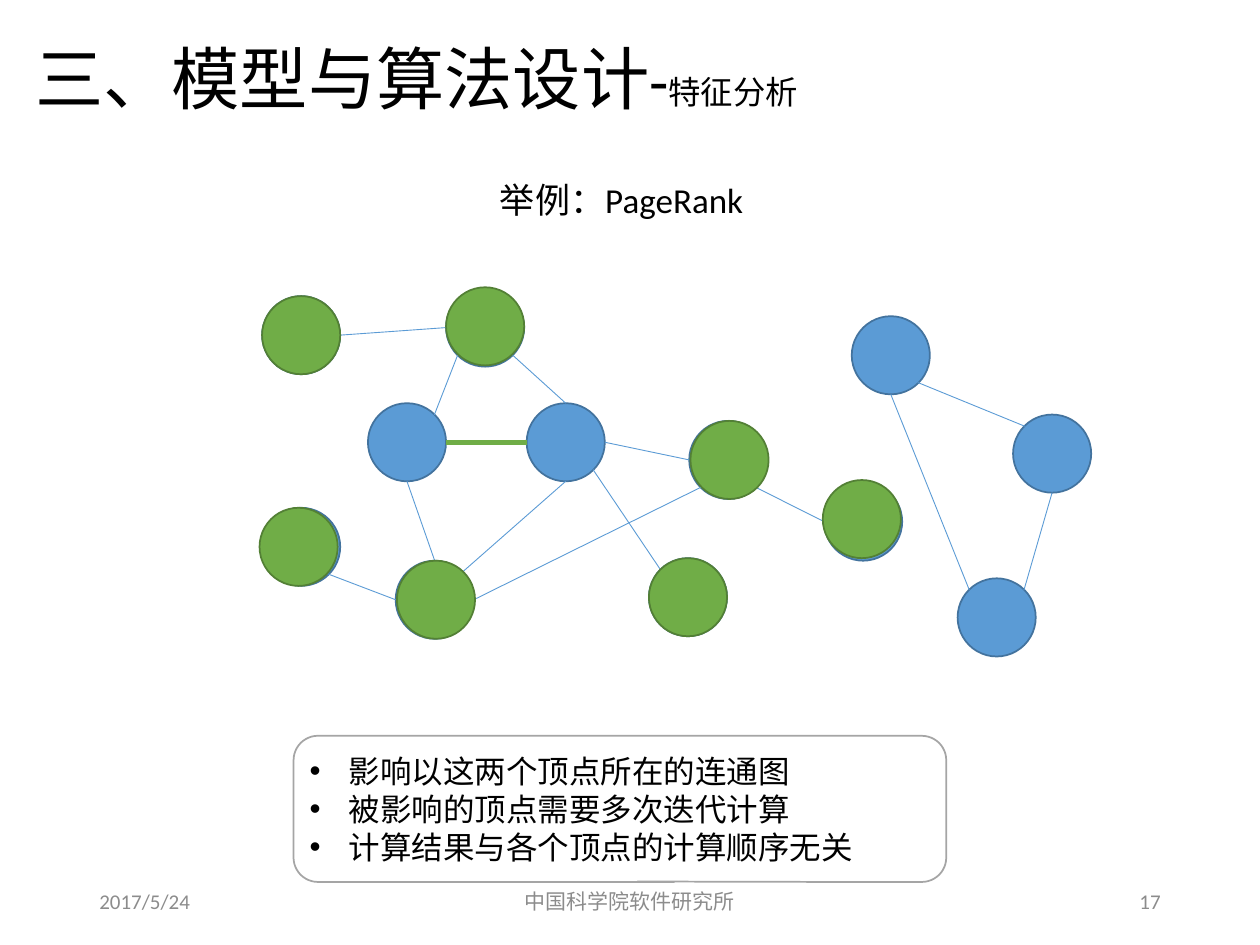
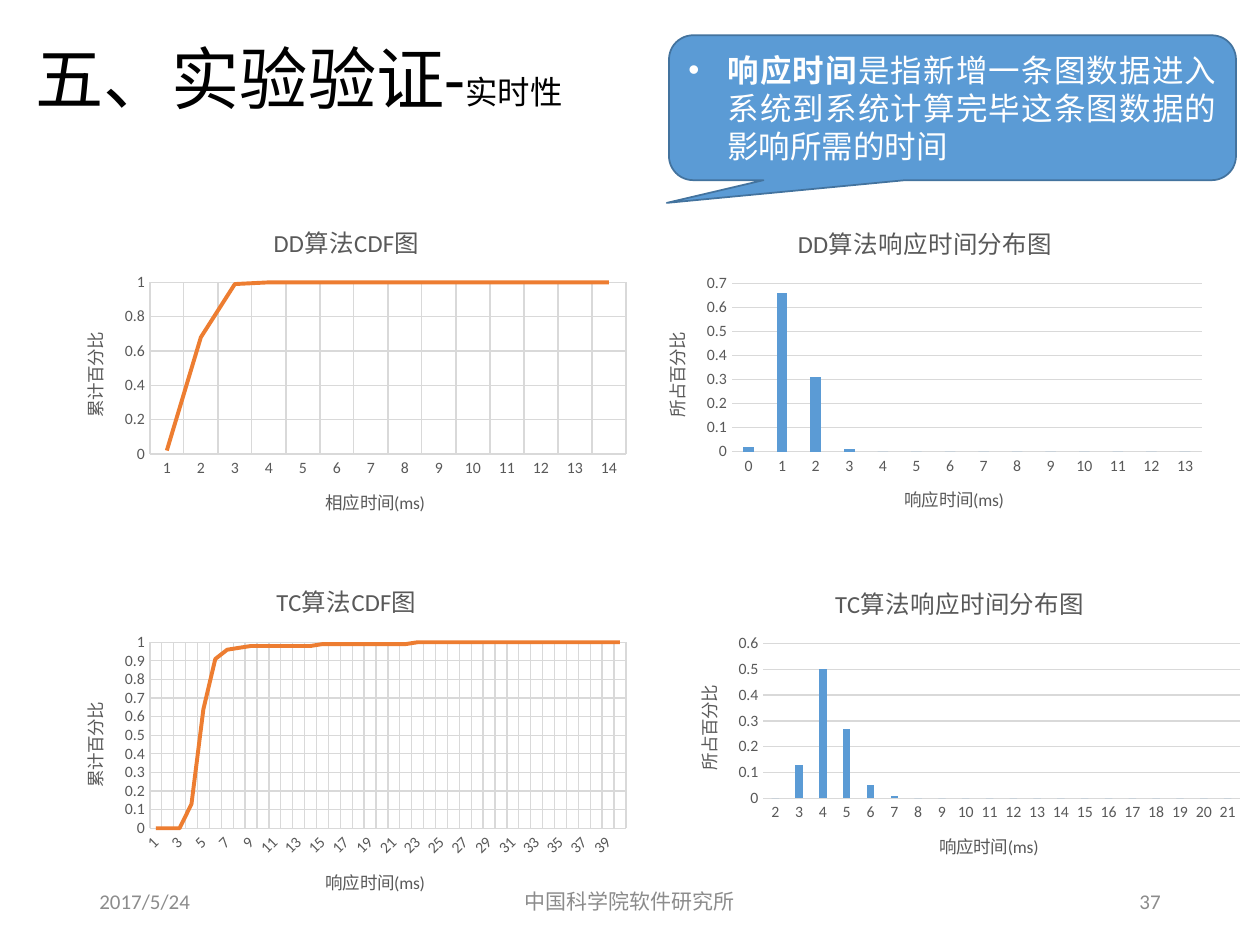
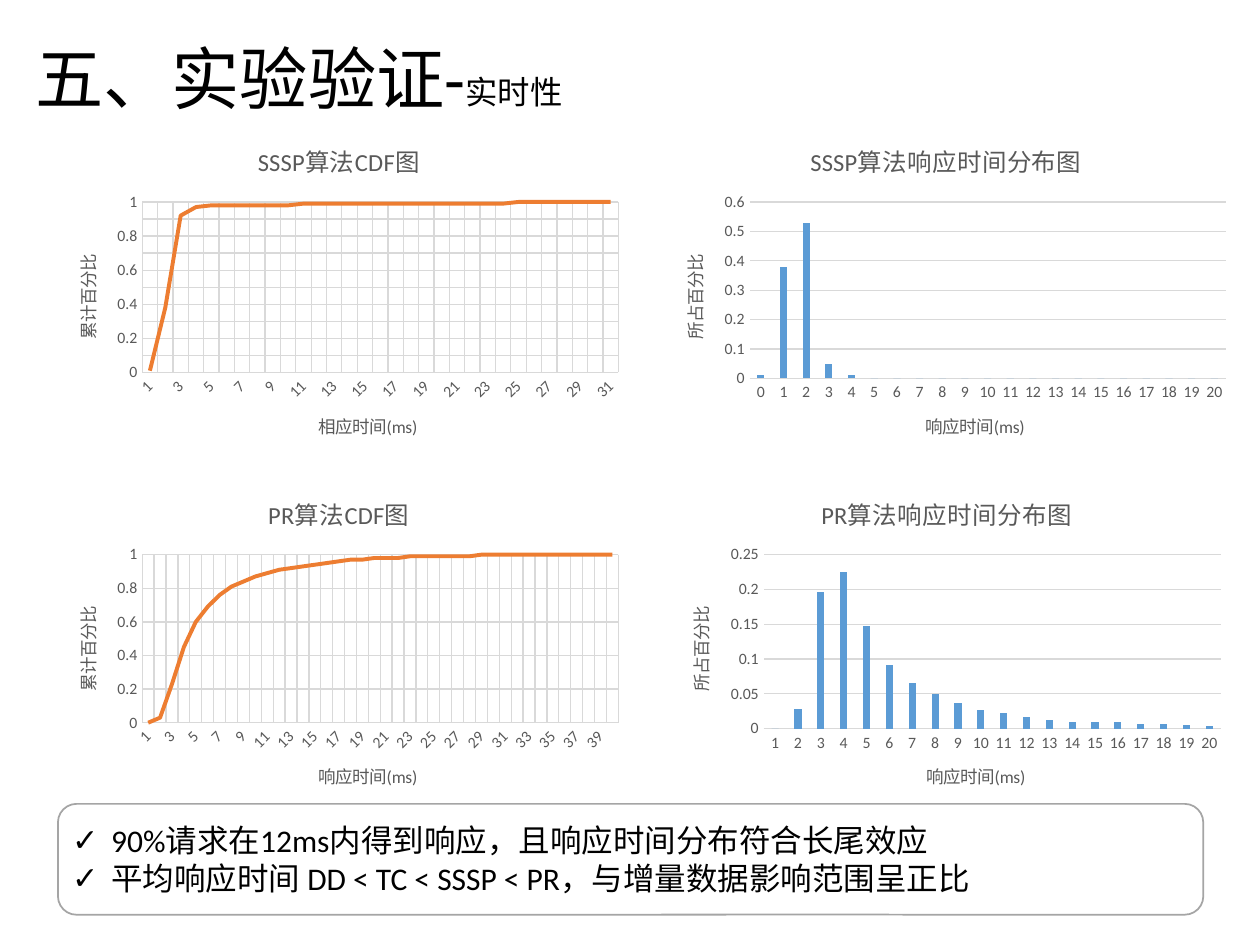
from lxml import etree
from pptx import Presentation
from pptx import util as u
from pptx.chart import data as chart_data
from pptx.dml.color import RGBColor
from pptx.enum import chart as chart_enum, shapes, text
from pptx.oxml import ns

BLACK = RGBColor(0x00, 0x00, 0x00)
WHITE = RGBColor(0xFF, 0xFF, 0xFF)
GREY = RGBColor(0x8C, 0x8C, 0x8C)
CHART_GREY = RGBColor(0x59, 0x59, 0x59)
GRID = RGBColor(0xD9, 0xD9, 0xD9)
FRAME = RGBColor(0xA5, 0xA5, 0xA5)
BLUE = RGBColor(0x5B, 0x9B, 0xD5)
DARK_BLUE = RGBColor(0x43, 0x73, 0x9E)
GREEN = RGBColor(0x70, 0xAD, 0x47)
DARK_GREEN = RGBColor(0x53, 0x80, 0x35)
ORANGE = RGBColor(0xED, 0x7D, 0x31)
FONT = "Calibri"
ALIGN = text.PP_ALIGN


def write(para, spans, color, align=ALIGN.LEFT, bullet=None):
    """Fill a paragraph with (text, size, bold) spans."""
    para.alignment = align
    for words, size, bold in spans:
        span = para.add_run()
        span.text = words
        span.font.name = FONT
        span.font.size = u.Pt(size)
        span.font.bold = bold
        span.font.color.rgb = color
    if bullet:
        props = para._p.get_or_add_pPr()
        props.set("marL", str(u.Inches(0.31)))
        props.set("indent", str(-u.Inches(0.31)))
        etree.SubElement(props, ns.qn("a:buFont"), typeface="Arial")
        etree.SubElement(props, ns.qn("a:buChar"), char=bullet)


def add_box(page, place, kind=None, fill=None, line=None, adjust=()):
    """Add a text box, or a preset shape when a kind is given."""
    place = [u.Inches(value) for value in place]
    if kind is None:
        box = page.shapes.add_textbox(*place)
    else:
        box = page.shapes.add_shape(kind, *place)
        box.shadow.inherit = False
        box.fill.solid()
        box.fill.fore_color.rgb = fill
        box.line.color.rgb = line
        box.line.width = u.Pt(1)
        for index, value in enumerate(adjust):
            box.adjustments[index] = value
    box.text_frame.word_wrap = True
    box.text_frame.vertical_anchor = text.MSO_ANCHOR.MIDDLE
    return box


deck = Presentation()
deck.slide_width, deck.slide_height = u.Inches(10), u.Inches(7.5)

# Titles and footers; the last page has its summary in the footer's place
validation = [("五、实验验证-", 39, False), ("实时性", 18.5, False)]
titles = [
    ([("三、模型与算法设计", 39, False), ("-", 36.1, False), ("特征分析", 18.5, False)], "17"),
    (validation, "37"),
    (validation, None),
]
pages = []
for title, number in titles:
    page = deck.slides.add_slide(deck.slide_layouts[6])
    pages.append(page)
    para = add_box(page, (0.18, 0.3, 8.62, 0.71)).text_frame.paragraphs[0]
    para.line_spacing = 0.9
    write(para, title, BLACK)
    if number:
        for left, width, words, align in [
            (0.69, 2.25, "2017/5/24", ALIGN.LEFT),
            (3.31, 3.38, "中国科学院软件研究所", ALIGN.CENTER),
            (7.06, 2.25, number, ALIGN.RIGHT),
        ]:
            box = add_box(page, (left, 6.95, width, 0.4))
            write(box.text_frame.paragraphs[0], [(words, 12, False)], GREY, align)
graph_page, first_page, second_page = pages

# Example graph: all vertices, edges, then the affected vertices on top
example = add_box(graph_page, (3.87, 1.37, 2.13, 0.45))
example.text_frame.vertical_anchor = text.MSO_ANCHOR.TOP
write(example.text_frame.paragraphs[0], [("举例：PageRank", 20, False)], BLACK)

NODE = 0.62
CIRCLE = shapes.MSO_SHAPE.FLOWCHART_CONNECTOR
nodes = {
    "a": (2.08, 2.35), "b": (3.54, 2.29), "c": (2.92, 3.2), "d": (4.18, 3.2),
    "e": (2.08, 4.03), "f": (3.14, 4.45), "g": (5.15, 4.43), "h": (5.47, 3.34),
    "i": (6.54, 3.83), "x": (6.76, 2.51), "y": (8.04, 3.29), "z": (7.6, 4.59),
}
affected = [(3.54, 2.28), (5.48, 3.34), (3.15, 4.45), (5.15, 4.43),
            (6.53, 3.81), (2.06, 4.03), (2.08, 2.35)]
sites = {  # share of the node's width and height
    "N": (0.5, 0), "S": (0.5, 1), "W": (0, 0.5), "E": (1, 0.5),
    "NW": (0.15, 0.15), "NE": (0.85, 0.15), "SW": (0.15, 0.85), "SE": (0.85, 0.85),
}
edges = ["b W a E", "e SE f W", "c NE b SW", "d E h W", "d SE g NW", "h SW f E",
         "c E d W", "b SE d N", "c S f N", "f NE d S", "h SE i W",
         "x SE y NW", "y S z NE", "x S z NW"]
new_edge = "c E d W"

for left, top in nodes.values():
    add_box(graph_page, (left, top, NODE, NODE), CIRCLE, BLUE, DARK_BLUE)
for edge in edges:
    start, start_site, end, end_site = edge.split()
    ends = []
    for node, site in ((start, start_site), (end, end_site)):
        for corner, share in zip(nodes[node], sites[site]):
            ends.append(u.Inches(corner + NODE * share))
    link = graph_page.shapes.add_connector(shapes.MSO_CONNECTOR.STRAIGHT, *ends)
    link.line.color.rgb = GREEN if edge == new_edge else BLUE
    link.line.width = u.Pt(3 if edge == new_edge else 0.5)
    etree.SubElement(link._element.spPr, ns.qn("a:effectLst"))
for left, top in affected:
    add_box(graph_page, (left, top, NODE, NODE), CIRCLE, GREEN, DARK_GREEN)

# Charts: cumulative curves (line) and distributions (columns)
CDF = chart_enum.XL_CHART_TYPE.LINE
BARS = chart_enum.XL_CHART_TYPE.COLUMN_CLUSTERED
RESPONSE = "响应时间(ms)"
CORRESPONDING = "相应时间(ms)"
charts = [  # page, place, type, title, category title, first category, values
    (first_page, (0.44, 4.46, 4.62, 2.85), CDF, "TC算法CDF图", RESPONSE, 1,
     [0, 0, 0, 0.13, 0.64, 0.91, 0.96, 0.97] + [0.98] * 6 + [0.99] * 8 + [1] * 18),
    (first_page, (0.44, 1.61, 4.62, 2.68), CDF, "DD算法CDF图", CORRESPONDING, 1,
     [0.02, 0.68, 0.99] + [1] * 11),
    (first_page, (5.06, 1.62, 4.57, 2.65), BARS, "DD算法响应时间分布图", RESPONSE, 0,
     [0.02, 0.66, 0.31, 0.01] + [0] * 10),
    (first_page, (5.31, 4.48, 4.62, 2.54), BARS, "TC算法响应时间分布图", RESPONSE, 2,
     [0, 0.13, 0.5, 0.27, 0.05, 0.01] + [0] * 14),
    (second_page, (0.38, 0.97, 4.62, 2.72), CDF, "SSSP算法CDF图", CORRESPONDING, 1,
     [0.01, 0.38, 0.92, 0.97] + [0.98] * 6 + [0.99] * 14 + [1] * 7),
    (second_page, (5.2, 0.97, 4.62, 2.72), BARS, "SSSP算法响应时间分布图", RESPONSE, 0,
     [0.01, 0.38, 0.53, 0.05, 0.01] + [0] * 16),
    (second_page, (5.25, 3.77, 4.53, 2.7), BARS, "PR算法响应时间分布图", RESPONSE, 1,
     [0, 0.028, 0.197, 0.225, 0.148, 0.092, 0.066, 0.05, 0.037, 0.027, 0.022,
      0.017, 0.013, 0.01, 0.01, 0.009, 0.007, 0.006, 0.005, 0.004]),
    (second_page, (0.38, 3.77, 4.62, 2.7), CDF, "PR算法CDF图", RESPONSE, 1,
     [0, 0.03, 0.23, 0.45, 0.6, 0.69, 0.76, 0.81, 0.84, 0.87, 0.89, 0.91, 0.92,
      0.93, 0.94, 0.95, 0.96, 0.97, 0.97, 0.98, 0.98, 0.98] + [0.99] * 6 + [1] * 12),
]
for page, place, kind, title, category_title, first, values in charts:
    data = chart_data.CategoryChartData()
    data.categories = [str(first + step) for step in range(len(values))]
    data.add_series("Series 1", values)
    place = [u.Inches(value) for value in place]
    chart = page.shapes.add_chart(kind, *place, data).chart
    chart.has_legend = False
    chart.font.name = FONT
    chart.font.size = u.Pt(10)
    chart.font.color.rgb = BLACK
    chart.has_title = True
    write(chart.chart_title.text_frame.paragraphs[0], [(title, 14, False)],
          CHART_GREY, ALIGN.CENTER)

    value_title = "累计百分比" if kind == CDF else "所占百分比"
    for axis, words, turn in [(chart.category_axis, category_title, "0"),
                              (chart.value_axis, value_title, "-5400000")]:
        axis.has_title = True
        write(axis.axis_title.text_frame.paragraphs[0], [(words, 10, False)],
              CHART_GREY, ALIGN.CENTER)
        axis.axis_title._element.xpath(".//a:bodyPr")[0].set("rot", turn)
        axis.major_tick_mark = chart_enum.XL_TICK_MARK.NONE
        axis.minor_tick_mark = chart_enum.XL_TICK_MARK.NONE
        axis.tick_labels.font.name = FONT
        axis.tick_labels.font.size = u.Pt(9)
        axis.tick_labels.font.color.rgb = CHART_GREY
        axis._element.xpath("c:txPr/a:bodyPr")[0].set("rot", "-60000000")
        axis.has_major_gridlines = kind == CDF or axis is not chart.category_axis
    chart.category_axis.has_major_gridlines = kind == CDF
    chart.value_axis.format.line.fill.background()
    lines = [chart.category_axis.format.line, chart.value_axis.major_gridlines.format.line]

    plot = chart.plots[0]
    plot.vary_by_categories = False
    series = plot.series[0]
    if kind == CDF:
        lines.append(chart.category_axis.major_gridlines.format.line)
        chart.value_axis.maximum_scale = 1
        series.smooth = False
        series.marker.style = chart_enum.XL_MARKER_STYLE.NONE
        series.format.line.color.rgb = ORANGE
        series.format.line.width = u.Pt(2.25)
    else:
        plot.gap_width = 219
        plot.overlap = -27
        series.format.fill.solid()
        series.format.fill.fore_color.rgb = BLUE
    for line in lines:
        line.color.rgb = GRID
        line.width = u.Pt(0.75)

# Callouts
CALLOUT = shapes.MSO_SHAPE.ROUNDED_RECTANGULAR_CALLOUT
definition = add_box(first_page, (5.31, 0.28, 4.5, 1.15), CALLOUT, BLUE, DARK_BLUE,
                     (-0.504, 0.657, 0.167))
write(definition.text_frame.paragraphs[0],
      [("响应时间", 18, True),
       ("是指新增一条图数据进入系统到系统计算完毕这条图数据的影响所需的时间", 18, False)],
      WHITE, ALIGN.JUSTIFY, "•")

for page, place, bullet, align, points in [
    (graph_page, (2.33, 5.84, 5.18, 1.16), "•", ALIGN.LEFT,
     ["影响以这两个顶点所在的连通图",
      "被影响的顶点需要多次迭代计算",
      "计算结果与各个顶点的计算顺序无关"]),
    (second_page, (0.46, 6.38, 9.09, 0.88), "✓", ALIGN.JUSTIFY,
     ["90%请求在12ms内得到响应，且响应时间分布符合长尾效应",
      "平均响应时间 DD < TC < SSSP < PR，与增量数据影响范围呈正比"]),
]:
    frame = add_box(page, place, CALLOUT, WHITE, FRAME, (0.027, 0.497, 0.167)).text_frame
    frame.margin_left = frame.margin_right = u.Inches(0.07)
    frame.margin_top = frame.margin_bottom = u.Inches(0.04)
    for index, point in enumerate(points):
        para = frame.add_paragraph() if index else frame.paragraphs[0]
        write(para, [(point, 18, False)], BLACK, align, bullet)

deck.save("out.pptx")
